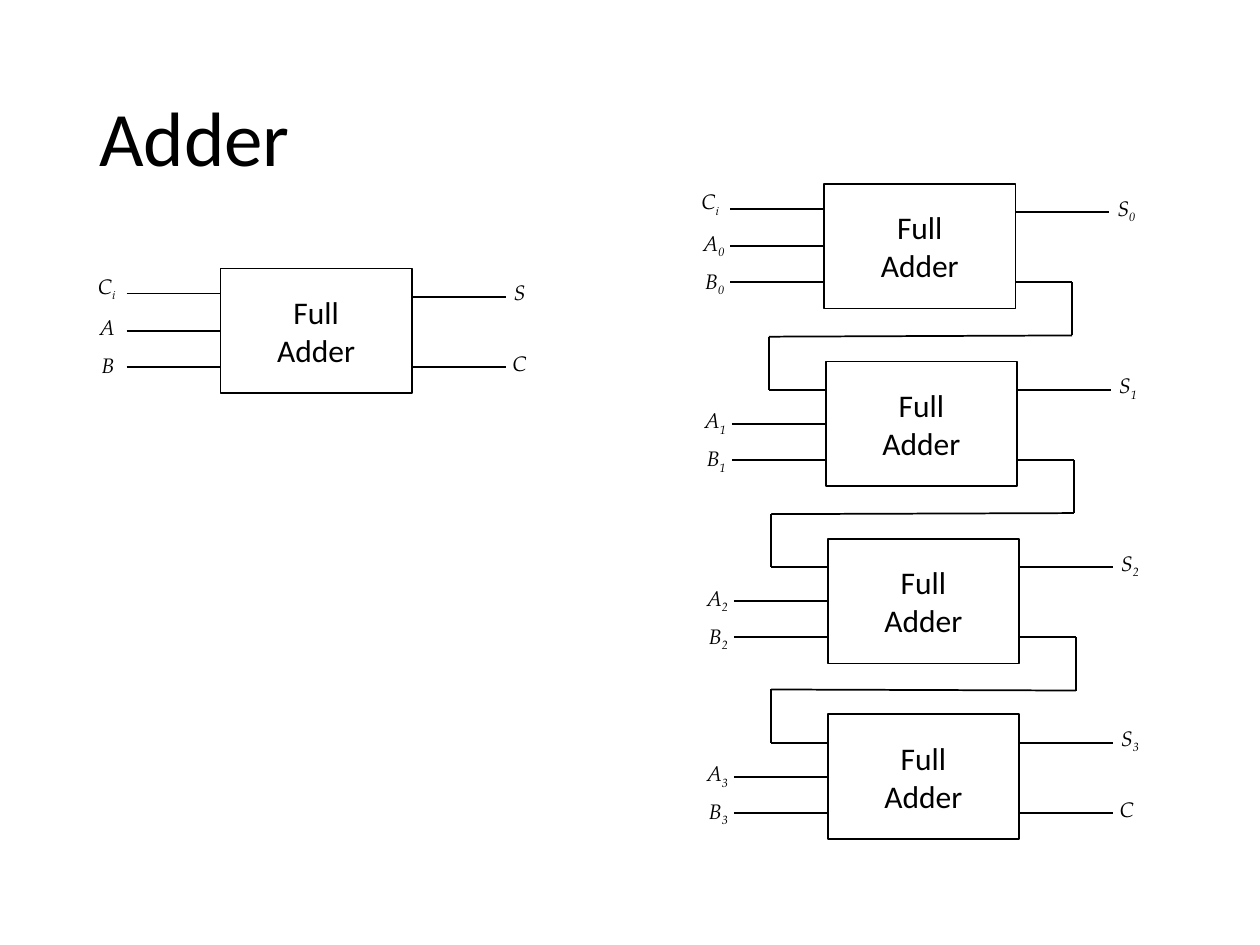
import itertools

import pptx
import pptx.dml.color
import pptx.enum.shapes
import pptx.enum.text
import pptx.oxml
import pptx.oxml.ns
import pptx.util

Pt = pptx.util.Pt
ANCHOR = pptx.enum.text.MSO_ANCHOR
BLACK = pptx.dml.color.RGBColor(0, 0, 0)
WHITE = pptx.dml.color.RGBColor(255, 255, 255)
BODY_FONT = "Calibri"
SIGNAL_FONT = "TeX Gyre Pagella"

# Adder geometry, in points
BOX_W, BOX_H = 109.4, 71.2
WIRE = 53.6
LABEL_H = 21.8
CARRY_STUB = 32.4
CARRY_DROP = 30.4
MIDDLE = BOX_H / 2
CARRY_IN_Y, SUM_Y, CARRY_OUT_Y = 14.4, 16.2, 56.2

# Signal: wire height, then label left, top and width, all from the box corner
INPUTS = {
    "C": (CARRY_IN_Y, -77, -0.7, 27.4),
    "A": (MIDDLE, -76.2, 23, 29.5),
    "B": (CARRY_OUT_Y, -75, 44.6, 28.1),
}
OUTPUTS = {
    "S": (SUM_Y, 160.6, 2.9, 27.4),
    "C": (CARRY_OUT_Y, 159.8, 43.2, 25.2),
}
SUBSCRIPT_W = 3.6

SINGLE_ADDER = (126, 153.4)
ADDER_CHAIN = [(470.9, 105.1), (471.8, 206.6), (473, 308), (473, 408.2)]


def add_run(paragraph, text, size, font, italic=False, subscript=False):
    run = paragraph.add_run()
    run.text = text
    run.font.size = Pt(size)
    run.font.name = font
    run.font.italic = italic
    run.font.color.rgb = BLACK
    if subscript:
        run._r.get_or_add_rPr().set("baseline", "-25000")


def add_title(slide, text):
    title = slide.shapes.add_textbox(Pt(49.7), Pt(28.8), Pt(620.6), Pt(104.4))
    frame = title.text_frame
    frame.word_wrap = True
    frame.vertical_anchor = ANCHOR.MIDDLE
    frame.paragraphs[0].line_spacing = 0.9
    add_run(frame.paragraphs[0], text, 44, BODY_FONT)


def add_box(slide, left, top):
    box = slide.shapes.add_shape(
        pptx.enum.shapes.MSO_SHAPE.RECTANGLE, Pt(left), Pt(top), Pt(BOX_W), Pt(BOX_H))
    box.shadow.inherit = False
    box.fill.solid()
    box.fill.fore_color.rgb = WHITE
    box.line.color.rgb = BLACK
    box.line.width = Pt(1)
    frame = box.text_frame
    frame.vertical_anchor = ANCHOR.MIDDLE
    for index, word in enumerate(("Full", "Adder")):
        paragraph = frame.add_paragraph() if index else frame.paragraphs[0]
        paragraph.alignment = pptx.enum.text.PP_ALIGN.CENTER
        add_run(paragraph, word, 18, BODY_FONT)
    return box


def add_wire(slide, start, end):
    wire = slide.shapes.add_connector(
        pptx.enum.shapes.MSO_CONNECTOR.STRAIGHT, *(Pt(v) for v in (*start, *end)))
    wire.line.color.rgb = BLACK
    wire.line.width = Pt(1)
    wire._element.spPr.append(
        pptx.oxml.parse_xml("<a:effectLst %s/>" % pptx.oxml.ns.nsdecls("a")))
    return wire


def add_label(slide, left, top, width, name, subscript):
    label = slide.shapes.add_textbox(Pt(left), Pt(top), Pt(width), Pt(LABEL_H))
    frame = label.text_frame
    frame.word_wrap = False
    frame.auto_size = pptx.enum.text.MSO_AUTO_SIZE.SHAPE_TO_FIT_TEXT
    add_run(frame.paragraphs[0], name, 12, SIGNAL_FONT, italic=True)
    if subscript:
        add_run(frame.paragraphs[0], subscript, 12, SIGNAL_FONT, True, True)


def add_adder(slide, corner, bit="", carry_in=True, carry_out=True):
    """A full adder with its wires and labels; chained carries are left off."""
    left, top = corner
    box = add_box(slide, left, top)

    for name, (wire_y, dx, dy, width) in INPUTS.items():
        if name == "C" and not carry_in:
            continue
        y = top + wire_y
        wire = add_wire(slide, (left - WIRE, y), (left, y))
        if wire_y == MIDDLE:
            wire.end_connect(box, 1)
        subscript = "i" if name == "C" else bit
        if not subscript:
            width -= SUBSCRIPT_W
        add_label(slide, left + dx, top + dy, width, name, subscript)

    for name, (wire_y, dx, dy, width) in OUTPUTS.items():
        if name == "C" and not carry_out:
            continue
        y, right = top + wire_y, left + BOX_W
        add_wire(slide, (right, y), (right + WIRE, y))
        subscript = bit if name == "S" else ""
        if name == "S" and not bit:
            width -= SUBSCRIPT_W
        add_label(slide, left + dx, top + dy, width, name, subscript)


def add_carry(slide, upper, lower):
    """Route the carry out of the upper adder into the lower one."""
    right, out_y = upper[0] + BOX_W, upper[1] + CARRY_OUT_Y
    left, in_y = lower[0], lower[1] + SUM_Y
    route = [
        (right, out_y),
        (right + CARRY_STUB, out_y),
        (right + CARRY_STUB, out_y + CARRY_DROP),
        (left - CARRY_STUB, in_y - CARRY_DROP),
        (left - CARRY_STUB, in_y),
        (left, in_y),
    ]
    for start, end in zip(route, route[1:]):
        add_wire(slide, start, end)


def main():
    deck = pptx.Presentation()
    deck.slide_width, deck.slide_height = Pt(720), Pt(540)
    slide = deck.slides.add_slide(deck.slide_layouts[6])

    add_title(slide, "Adder")

    # One-bit adder
    add_adder(slide, SINGLE_ADDER)

    # Four-bit ripple-carry adder
    last = len(ADDER_CHAIN) - 1
    for bit, corner in enumerate(ADDER_CHAIN):
        add_adder(slide, corner, str(bit), carry_in=bit == 0, carry_out=bit == last)
    for upper, lower in zip(ADDER_CHAIN, itertools.islice(ADDER_CHAIN, 1, None)):
        add_carry(slide, upper, lower)

    deck.save("out.pptx")


if __name__ == "__main__":
    main()
